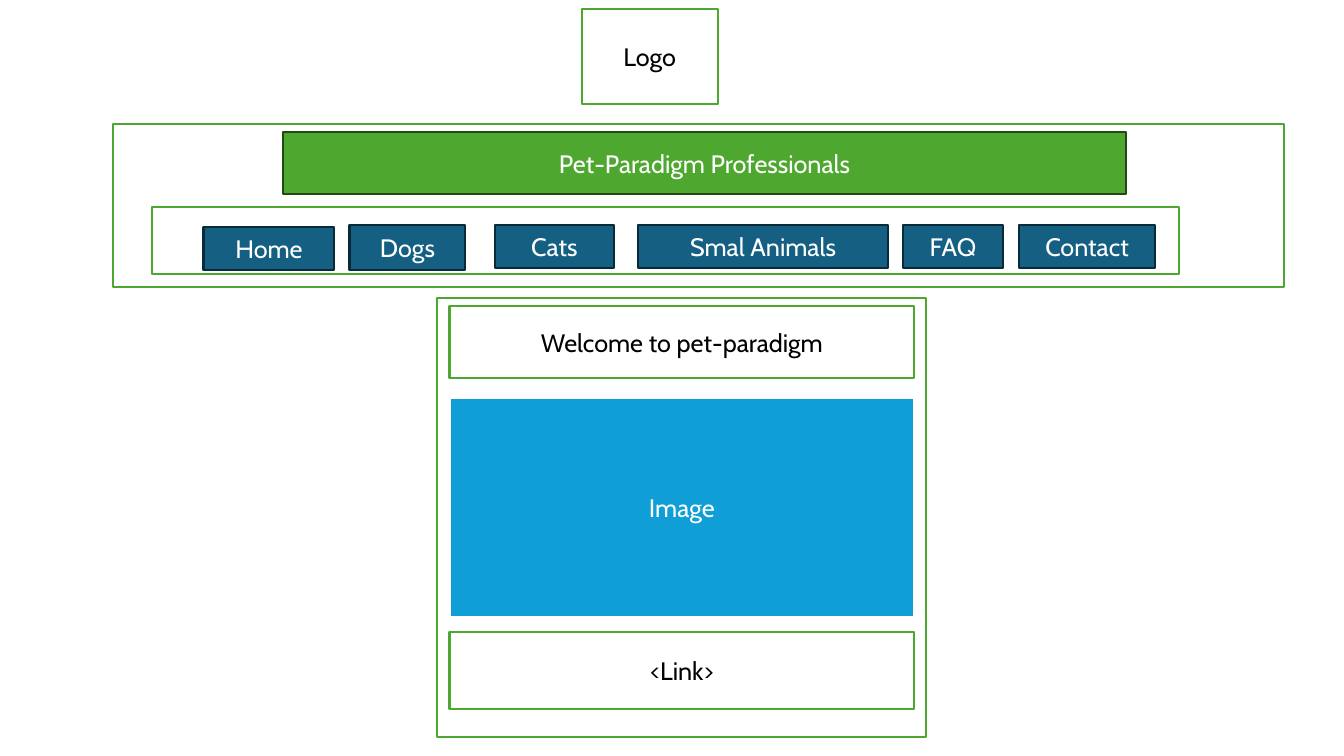
from pptx import Presentation
from pptx.dml.color import RGBColor
from pptx.enum.shapes import MSO_SHAPE
from pptx.enum.text import MSO_ANCHOR, PP_ALIGN
from pptx.util import Cm, Pt

RECT = MSO_SHAPE.RECTANGLE
MIDDLE = MSO_ANCHOR.MIDDLE
CENTER = PP_ALIGN.CENTER

FONT = "Cabin"
WHITE, BLACK = "FFFFFF", "000000"
GREEN, DARK_GREEN = "4EA72E", "224914"
TEAL, DARK_TEAL = "156082", "092A39"
BLUE = "0F9ED5"

prs = Presentation()
prs.slide_width, prs.slide_height = Cm(33.87), Cm(19.05)
s = prs.slides.add_slide(prs.slide_layouts[6])


def rgb(value):
    return RGBColor.from_string(value)


def add_box(x, y, w, h, text="", fill=WHITE, line=GREEN, color=BLACK, weight=1.5):
    sp = s.shapes.add_shape(RECT, Cm(x), Cm(y), Cm(w), Cm(h))
    sp.shadow.inherit = False
    sp.fill.solid()
    sp.fill.fore_color.rgb = rgb(fill)
    sp.line.color.rgb = rgb(line)
    sp.line.width = Pt(weight)
    if text:
        tf = sp.text_frame
        tf.word_wrap = True
        tf.vertical_anchor = MIDDLE
        p = tf.paragraphs[0]
        p.text = text
        p.alignment = CENTER
        p.font.name = FONT
        p.font.size = Pt(18)
        p.font.color.rgb = rgb(color)


# Logo placeholder
add_box(14.66, 0.23, 3.43, 2.39, "Logo")

# Header and navigation frames
add_box(2.84, 3.12, 29.51, 4.11)
add_box(3.84, 5.21, 25.88, 1.7)

# Navigation buttons: label, left, top, width, height
buttons = [
    ("Home", 5.13, 5.72, 3.3, 1.09),
    ("Dogs", 8.81, 5.66, 2.92, 1.14),
    ("Cats", 12.47, 5.66, 3, 1.09),
    ("Smal Animals", 16.08, 5.66, 6.3, 1.09),
    ("FAQ", 22.76, 5.66, 2.51, 1.09),
    ("Contact", 25.68, 5.66, 3.43, 1.09),
]
for label, x, y, w, h in buttons:
    add_box(x, y, w, h, label, TEAL, DARK_TEAL, WHITE)

# Site title
add_box(7.14, 3.33, 21.23, 1.57, "Pet-Paradigm Professionals", GREEN, DARK_GREEN, WHITE)

# Content frame and its stacked sections
add_box(11.02, 7.52, 12.32, 11.05)
content_x, content_w = 11.33, 11.71
add_box(content_x, 7.72, content_w, 1.8, "Welcome to pet-paradigm")
add_box(content_x, 10.01, content_w, 5.56, "Image", BLUE, WHITE, WHITE, 2)
add_box(content_x, 15.93, content_w, 1.93, "<Link>")

prs.save("out.pptx")
